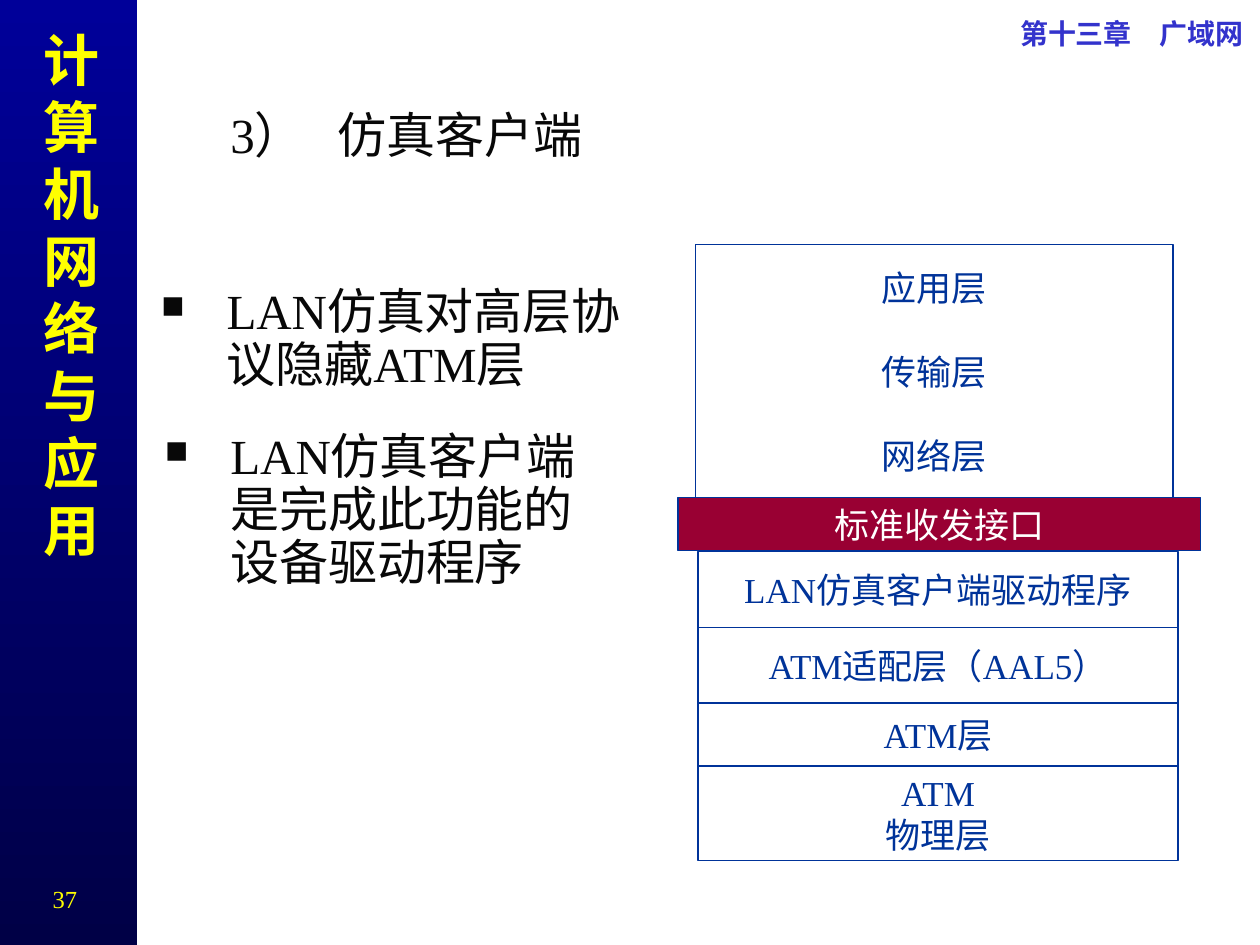
from pptx import Presentation
from pptx.dml.color import RGBColor
from pptx.enum.shapes import MSO_SHAPE
from pptx.enum.text import MSO_ANCHOR, PP_ALIGN
from pptx.oxml import parse_xml
from pptx.oxml.ns import nsdecls
from pptx.util import Inches, Pt

COLORS = {
    "band_top": "000099", "band_bottom": "000046", "course": "FFFF00",
    "chapter": "3333CC", "body": "080808", "layer": "003399",
    "interface": "990033", "white": "FFFFFF",
}

prs = Presentation()
prs.slide_width, prs.slide_height = Inches(10), Inches(7.5)
slide = prs.slides.add_slide(prs.slide_layouts[6])
# Grid of 100 columns by 75 rows
COL, ROW = prs.slide_width / 100, prs.slide_height / 75


def color(name):
    return RGBColor.from_string(COLORS[name])


def add_text(text, left, top, width, height, *, size, ink, bold=False,
             align=PP_ALIGN.LEFT, anchor=MSO_ANCHOR.TOP, wrap=True, inset=True,
             boxed=False, fill=None, gap=0, bullet=False, tab=None):
    place = [round(n) for n in (left * COL, top * ROW, width * COL, height * ROW)]
    if boxed:
        box = slide.shapes.add_shape(MSO_SHAPE.RECTANGLE, *place)
        box.shadow.inherit = False
        box.line.color.rgb = color("layer")
        box.line.width = Pt(0.75)
        if fill:
            box.fill.solid()
            box.fill.fore_color.rgb = color(fill)
        else:
            box.fill.background()
    else:
        box = slide.shapes.add_textbox(*place)
    frame = box.text_frame
    frame.word_wrap = wrap
    frame.vertical_anchor = anchor
    frame.margin_left = frame.margin_right = Inches(0.1 if inset else 0)
    frame.margin_top = frame.margin_bottom = Inches(0.05 if inset else 0)
    for i, line in enumerate(text.split("\n")):
        para = frame.add_paragraph() if i else frame.paragraphs[0]
        props = para._p.get_or_add_pPr()
        if bullet:
            props.set("marL", str(Inches(0.52)))
            props.set("indent", str(-Inches(0.52)))
            for mark in (f'<a:buClr {nsdecls("a")}><a:srgbClr val="{COLORS[ink]}"/></a:buClr>',
                         f'<a:buSzPct {nsdecls("a")} val="65000"/>',
                         f'<a:buChar {nsdecls("a")} char="■"/>'):
                props.append(parse_xml(mark))
            para.line_spacing = 0.9
            para.space_after = Pt(7)
        if tab:
            props.append(parse_xml(f'<a:tabLst {nsdecls("a")}>'
                                   f'<a:tab pos="{round(tab * COL)}" algn="l"/></a:tabLst>'))
        para.alignment = align
        if i and gap:
            para.space_before = Pt(gap)
        run = para.add_run()
        run.text = line
        run.font.name = "Times New Roman"
        run.font.size = Pt(size)
        run.font.bold = bold
        run.font.color.rgb = color(ink)


# Side band with the course name
band = slide.shapes.add_shape(MSO_SHAPE.RECTANGLE, round(-0.2 * COL), 0,
                              round(11.1 * COL), round(75.2 * ROW))
band.shadow.inherit = False
band.line.fill.background()
band.fill.gradient()
band.fill.gradient_angle = 270
for stop, shade in zip(band.fill.gradient_stops, ("band_top", "band_bottom")):
    stop.color.rgb = color(shade)
add_text("计算机网络与应用", 1.4, 1.5, 7.5, 43.7, size=32, ink="course",
         bold=True, align=PP_ALIGN.RIGHT)

# Chapter and section headings
add_text("第十三章　广域网", 75.3, 1.3, 23.4, 2.7, size=16, ink="chapter",
         bold=True, align=PP_ALIGN.RIGHT, inset=False)
add_text("3）\t仿真客户端", 17.3, 8.6, 49.5, 4, size=28, ink="body",
         anchor=MSO_ANCHOR.MIDDLE, tab=8.5)

# Protocol stack: upper layers, lower layers, then the interface between them
layer_format = dict(size=20, align=PP_ALIGN.CENTER, anchor=MSO_ANCHOR.MIDDLE,
                    wrap=False, boxed=True)
add_text("应用层\n传输层\n网络层", 55.2, 19.4, 37.9, 20.1, ink="layer", gap=24,
         **layer_format)
layer_top = 43.8
for layer, rows in (("LAN仿真客户端驱动程序", 6), ("ATM适配层（AAL5）", 6),
                    ("ATM层", 5), ("ATM\n物理层", 7.5)):
    add_text(layer, 55.4, layer_top, 38.1, rows, ink="layer", **layer_format)
    layer_top += rows
add_text("标准收发接口", 53.8, 39.5, 41.5, 4.2, ink="white", fill="interface",
         **layer_format)

# Bulleted points
for point, left, top, width in (
        ("LAN仿真对高层协议隐藏ATM层", 11.8, 22.3, 39.3),
        ("LAN仿真客户端是完成此功能的设备驱动程序", 12.1, 33.8, 38.1)):
    add_text(point, left, top, width, 8, size=28, ink="body", bullet=True)

# Page number
add_text("37", 2.2, 69.7, 5.9, 3.4, size=14, ink="course", align=PP_ALIGN.CENTER)

prs.save("out.pptx")
